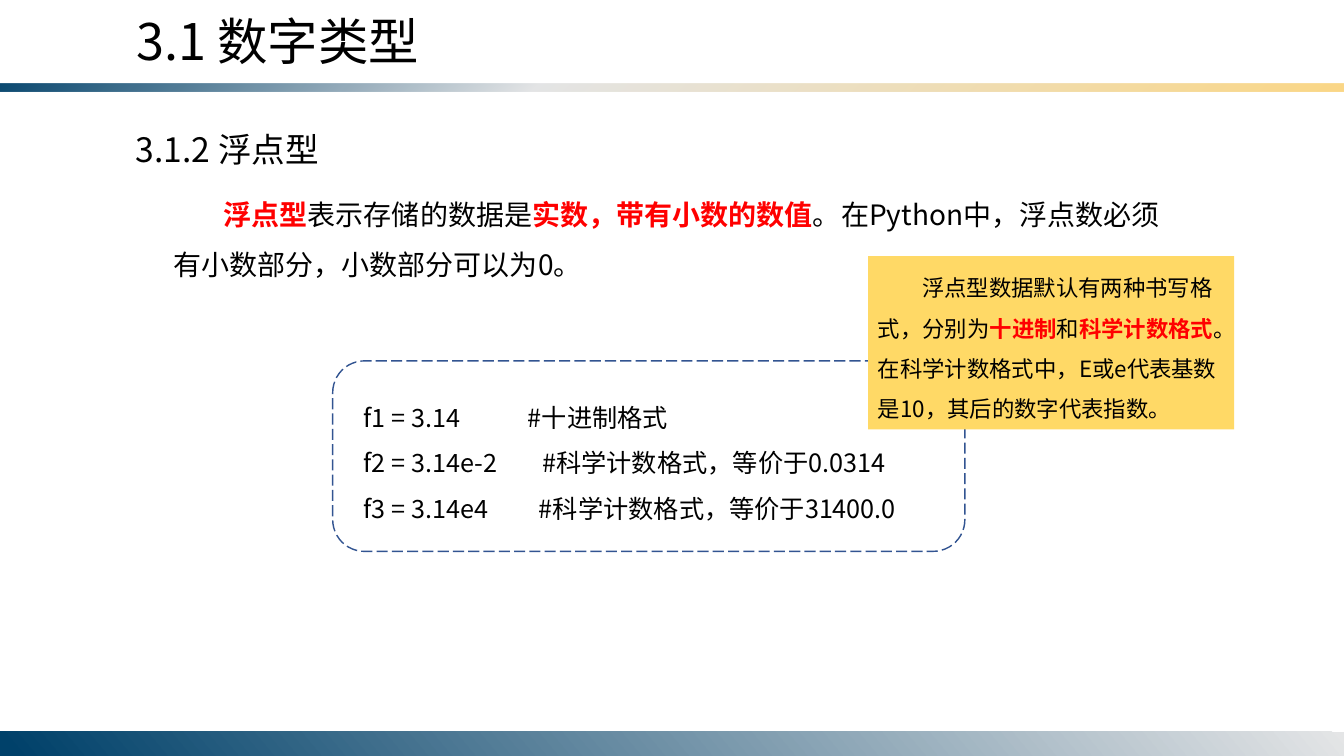
from dataclasses import dataclass

from pptx import Presentation
from pptx.dml.color import RGBColor
from pptx.enum import dml, shapes, text
from pptx.oxml import xmlchemy as x
from pptx.oxml.ns import qn
from pptx.util import Inches, Pt


@dataclass(frozen=True)
class Theme:
    font: str = "Noto Sans CJK SC"
    ink: str = "000000"
    accent: str = "FF0000"
    note: str = "FFD966"
    outline: str = "325491"
    navy: str = "00416A"
    silver: str = "E4E5E6"
    gold: str = "FBD786"
    title: int = 36
    heading: int = 24
    body: int = 20
    code: int = 18
    small: int = 16


theme = Theme()


def write(sp, paragraphs, size, spacing=1.0, indent=0):
    """Fill a shape with paragraphs; every second part of one is highlighted."""
    tf = sp.text_frame
    tf.word_wrap = True
    tf.vertical_anchor = text.MSO_ANCHOR.TOP
    for i, parts in enumerate(paragraphs):
        p = tf.add_paragraph() if i else tf.paragraphs[0]
        p.alignment = text.PP_ALIGN.LEFT
        p.line_spacing = spacing
        if indent:
            p._p.get_or_add_pPr().set("indent", str(Inches(indent)))
        for j, part in enumerate(parts):
            highlighted = j % 2 == 1
            r = p.add_run()
            r.text = part
            r.font.size = Pt(size)
            r.font.bold = highlighted
            r.font.color.rgb = RGBColor.from_string(theme.accent if highlighted else theme.ink)
            r.font.name = theme.font
            ea = x.OxmlElement("a:ea")
            ea.set("typeface", theme.font)
            r.font._element.find(qn("a:latin")).addnext(ea)


prs = Presentation()
prs.slide_width, prs.slide_height = Inches(13.33), Inches(7.5)
s = prs.slides.add_slide(prs.slide_layouts[5])

# Gradient bars: top, height, clockwise angle, stops of (position, colour, opacity)
bars = [
    (0.83, 0.08, 50, [(0, theme.navy, 95), (40, theme.silver, 100), (100, theme.gold, 100)]),
    (7.26, 0.24, 140, [(0, theme.silver, 100), (99, theme.navy, 100)]),
]
for top, height, angle, stops in bars:
    bar = s.shapes.add_shape(shapes.MSO_SHAPE.RECTANGLE, 0, Inches(top), prs.slide_width, Inches(height))
    bar.shadow.inherit = False
    bar.line.fill.background()
    bar.fill.gradient()
    bar.fill.gradient_angle = 360 - angle
    stop_list = bar._element.spPr.find(".//" + qn("a:gsLst"))
    stop_list.clear()
    for position, colour, opacity in stops:
        stop = x.OxmlElement("a:gs")
        stop.set("pos", str(position * 1000))
        rgb = x.OxmlElement("a:srgbClr")
        rgb.set("val", colour)
        if opacity < 100:
            alpha = x.OxmlElement("a:alpha")
            alpha.set("val", str(opacity * 1000))
            rgb.append(alpha)
        stop.append(rgb)
        stop_list.append(stop)

title = s.shapes.title
title.left, title.top, title.width, title.height = map(Inches, (1.25, 0.05, 6.12, 1.31))
title.text_frame.auto_size = text.MSO_AUTO_SIZE.NONE
write(title, [["3.1 数字类型"]], theme.title)

heading = s.shapes.add_textbox(Inches(1.25), Inches(1.23), Inches(2.57), Inches(0.5))
write(heading, [["3.1.2 浮点型"]], theme.heading)

definition = s.shapes.add_textbox(Inches(1.62), Inches(1.74), Inches(10.1), Inches(1.11))
write(definition, [[
    "", "浮点型", "表示存储的数据是", "实数，带有小数的数值",
    "。在Python中，浮点数必须有小数部分，小数部分可以为0。",
]], theme.body, 1.5, 0.5)

code = s.shapes.add_textbox(Inches(3.51), Inches(3.79), Inches(5.85), Inches(1.46))
write(code, [
    ["f1 = 3.14            #十进制格式"],
    ["f2 = 3.14e-2        #科学计数格式，等价于0.0314"],
    ["f3 = 3.14e4         #科学计数格式，等价于31400.0"],
], theme.code, 1.5)

frame = s.shapes.add_shape(shapes.MSO_SHAPE.ROUNDED_RECTANGLE, Inches(3.3), Inches(3.58), Inches(6.27), Inches(1.89))
frame.shadow.inherit = False
frame.fill.background()
frame.line.color.rgb = RGBColor.from_string(theme.outline)
frame.line.width = Pt(1)
frame.line.dash_style = dml.MSO_LINE.LONG_DASH

note = s.shapes.add_shape(shapes.MSO_SHAPE.RECTANGLE, Inches(8.61), Inches(2.54), Inches(3.63), Inches(1.72))
note.shadow.inherit = False
note.fill.solid()
note.fill.fore_color.rgb = RGBColor.from_string(theme.note)
note.line.fill.background()
write(note, [[
    "浮点型数据默认有两种书写格式，分别为", "十进制", "和", "科学计数格式",
    "。在科学计数格式中，E或e代表基数是10，其后的数字代表指数。",
]], theme.small, 1.5, 0.44)

prs.save("out.pptx")
